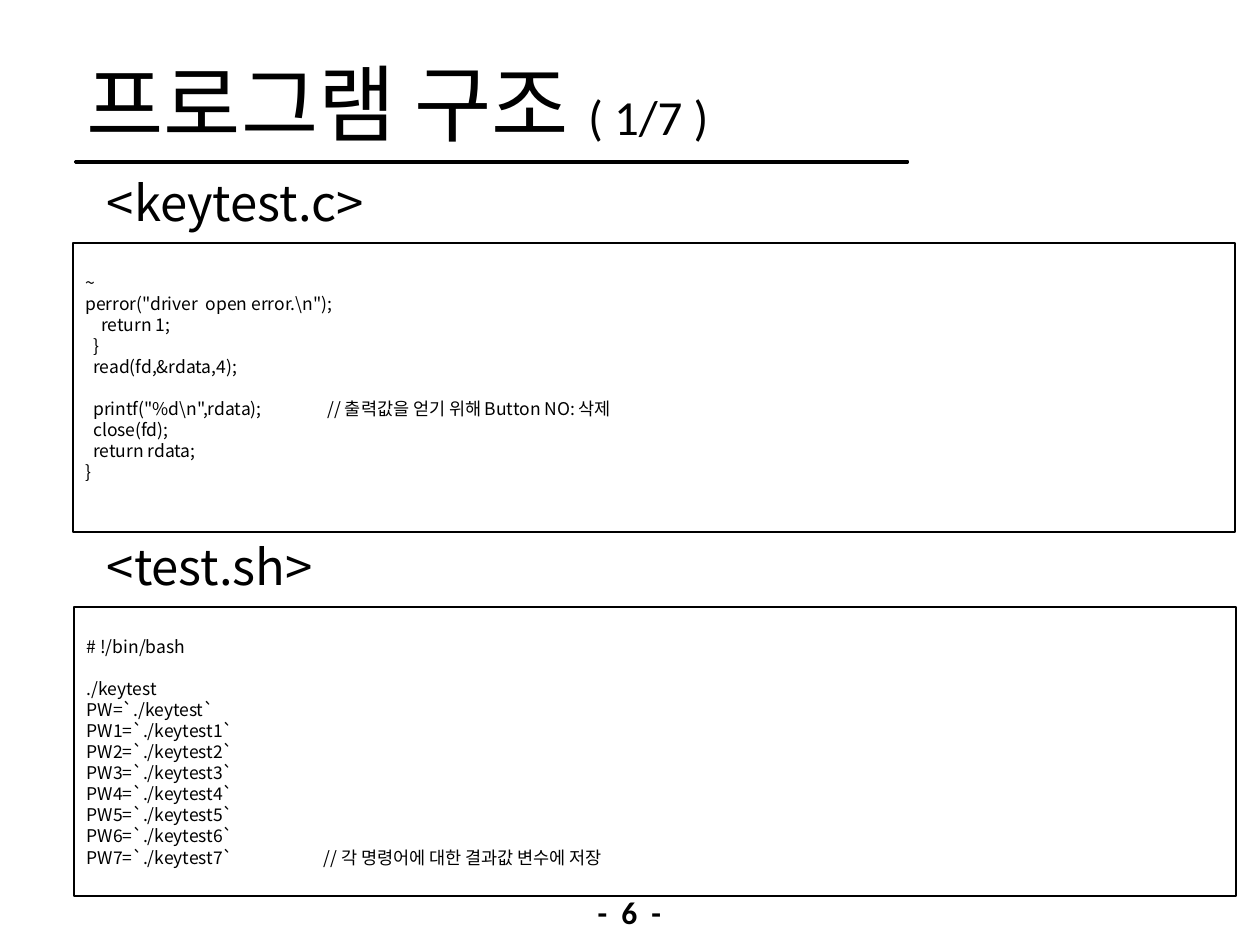
from pptx import Presentation
from pptx.dml.color import RGBColor
from pptx.enum.shapes import MSO_SHAPE
from pptx.enum.text import MSO_ANCHOR, PP_ALIGN
from pptx.oxml import parse_xml
from pptx.oxml.ns import nsdecls
from pptx.util import Inches, Pt

BLACK = RGBColor(0x00, 0x00, 0x00)
WHITE = RGBColor(0xFF, 0xFF, 0xFF)
LATIN = "Calibri"
KOREAN = "Noto Sans CJK KR"
LINE_HEIGHT = Pt(12.06)

KEYTEST_CODE = [
    "~",
    'perror("driver  open error.\\n");',
    "    return 1;",
    "  }",
    "  read(fd,&rdata,4);",
    "",
    '  printf("%d\\n",rdata);\t// 출력값을 얻기 위해 Button NO: 삭제',
    "  close(fd);",
    "  return rdata;",
    "}",
]
SHELL_CODE = [
    "# !/bin/bash",
    "",
    "./keytest",
    "PW=`./keytest`",
    *[f"PW{number}=`./keytest{number}`" for number in range(1, 7)],
    "PW7=`./keytest7`\t// 각 명령어에 대한 결과값 변수에 저장",
]


def add_span(para, text, size, font, bold=False):
    span = para.add_run()
    span.text = text
    span.font.size = Pt(size)
    span.font.name = font
    span.font.bold = bold
    span.font.color.rgb = BLACK
    east_asian = parse_xml(f'<a:ea {nsdecls("a")} typeface="{KOREAN}"/>')
    span.font._element.find("{*}latin").addnext(east_asian)


def add_label(page, left, top, width, height, spans, align=PP_ALIGN.LEFT):
    box = page.shapes.add_textbox(Inches(left), Inches(top), Inches(width), Inches(height))
    box.text_frame.word_wrap = True
    para = box.text_frame.paragraphs[0]
    para.alignment = align
    for span in spans:
        add_span(para, *span)


def add_rule(page, left, top, width, height):
    right, bottom = left + width, top + height
    builder = page.shapes.build_freeform(Inches(left), Inches(top))
    corners = [(right, top), (right, bottom), (left, bottom)]
    builder.add_line_segments([(Inches(x), Inches(y)) for x, y in corners])
    rule = builder.convert_to_shape()
    rule.shadow.inherit = False
    rule.fill.solid()
    rule.fill.fore_color.rgb = BLACK
    rule.line.color.rgb = BLACK
    rule.line.width = Pt(2)


def add_code_box(page, left, top, width, height, lines, comment_tab, rows_below=0):
    box = page.shapes.add_shape(
        MSO_SHAPE.RECTANGLE, Inches(left), Inches(top), Inches(width), Inches(height)
    )
    box.shadow.inherit = False
    box.fill.solid()
    box.fill.fore_color.rgb = WHITE
    box.line.color.rgb = BLACK
    box.line.width = Pt(1)
    frame = box.text_frame
    frame.word_wrap = True
    frame.vertical_anchor = MSO_ANCHOR.MIDDLE
    frame.margin_bottom = Inches(0.05) + rows_below * LINE_HEIGHT
    for index, line in enumerate(lines):
        if not line:
            continue
        para = frame.add_paragraph() if index else frame.paragraphs[0]
        para.alignment = PP_ALIGN.LEFT
        para.line_spacing = LINE_HEIGHT
        if index and not lines[index - 1]:
            para.space_before = LINE_HEIGHT
        if "\t" in line:
            tabs = parse_xml(
                f'<a:tabLst {nsdecls("a")}><a:tab pos="{Inches(comment_tab)}" algn="l"/></a:tabLst>'
            )
            para._p.get_or_add_pPr().append(tabs)
        add_span(para, line, 10, KOREAN)


def add_header(page, left, top, width, height):
    add_label(page, left, top, width, height,
              [("프로그램 구조 ", 48, LATIN), ("( 1/7 )", 28, LATIN)])
    add_rule(page, left + 0.01, top + 0.92, 6.6, 0.01)


def add_listing(page, left, top, name, lines, comment_tab, rows_below=0):
    add_label(page, 0.75, top, 3.94, 0.57, [(name, 28, KOREAN)])
    add_code_box(page, left, top + 0.61, 9.22, 2.29, lines, comment_tab, rows_below)


def main():
    deck = Presentation()
    deck.slide_width, deck.slide_height = Inches(10), Inches(7.5)
    page = deck.slides.add_slide(deck.slide_layouts[6])
    add_header(page, 0.59, 0.36, 6.38, 0.9)
    add_listing(page, 0.58, 1.32, "<keytest.c>", KEYTEST_CODE, 1.92, rows_below=1)
    add_listing(page, 0.59, 4.21, "<test.sh>", SHELL_CODE, 1.88)
    add_label(page, 4.05, 7.04, 1.89, 0.4, [("-  6  -", 18, LATIN, True)], PP_ALIGN.CENTER)
    deck.save("out.pptx")


if __name__ == "__main__":
    main()
